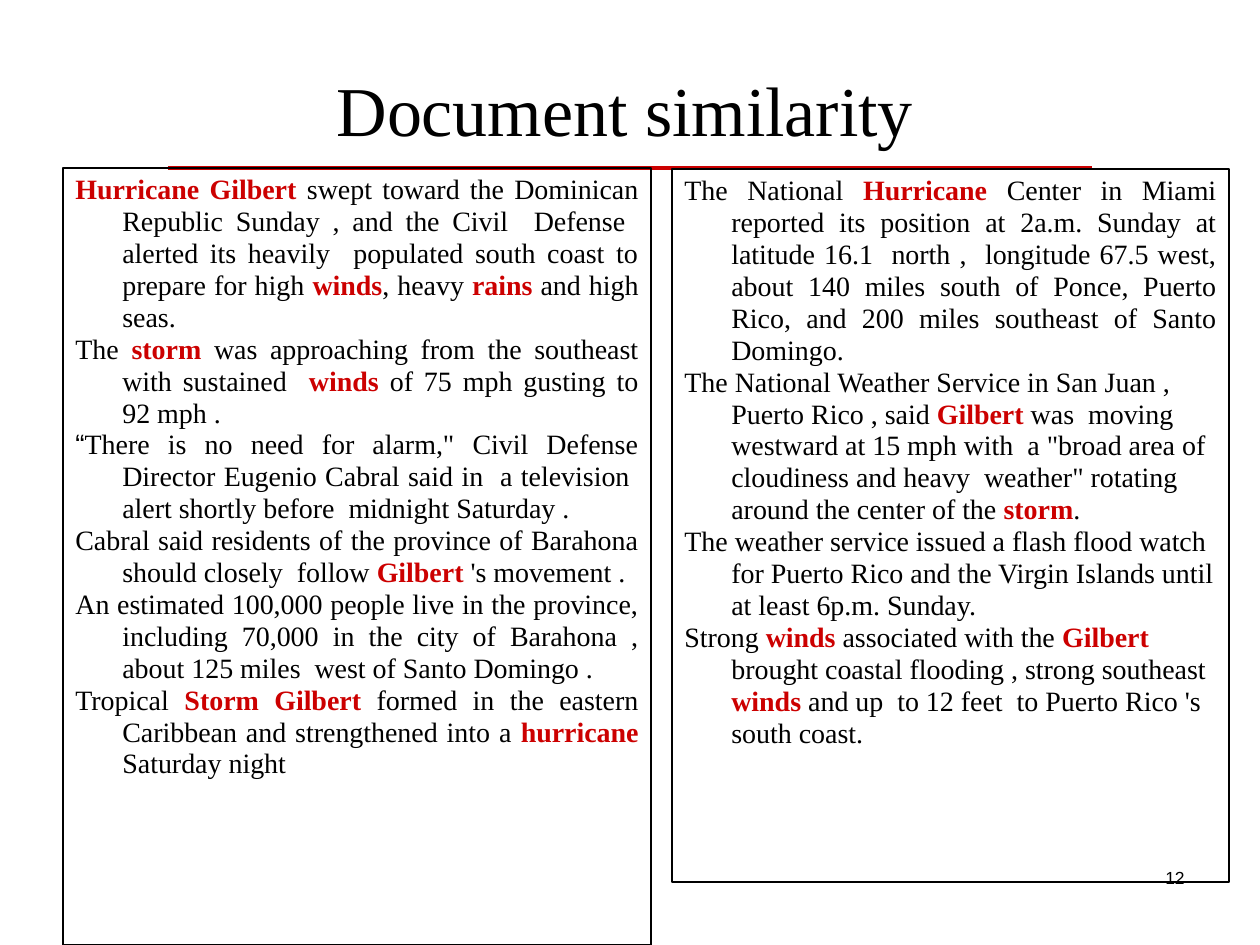
from lxml import etree
from pptx import Presentation
from pptx.dml.color import RGBColor
from pptx.enum.shapes import MSO_CONNECTOR, MSO_SHAPE
from pptx.enum.text import MSO_ANCHOR, PP_ALIGN
from pptx.oxml.ns import qn
from pptx.util import Emu, Pt

PX = 914400 / 126
BLACK = RGBColor(0x00, 0x00, 0x00)
RED = RGBColor(0xCC, 0x00, 0x00)
SERIF, SANS = "Times New Roman", "Arial"
LEFT, CENTER, RIGHT, JUSTIFY = PP_ALIGN.LEFT, PP_ALIGN.CENTER, PP_ALIGN.RIGHT, PP_ALIGN.JUSTIFY
TOP, BOTTOM = MSO_ANCHOR.TOP, MSO_ANCHOR.BOTTOM

# Words between asterisks are the shared key terms
STORM_REPORT = [
    (JUSTIFY, "*Hurricane Gilbert *swept toward the Dominican Republic Sunday , and the Civil  Defense  "
              "alerted its heavily  populated south coast to prepare for high *winds*, heavy *rains* "
              "and high seas. "),
    (JUSTIFY, "The *storm *was approaching from the southeast with sustained  *winds* of 75 mph "
              "gusting to 92 mph . "),
    (JUSTIFY, "“There is no need for alarm,\" Civil Defense Director Eugenio Cabral said in  "
              "a television  alert shortly before  midnight Saturday . "),
    (JUSTIFY, "Cabral said residents of the province of Barahona should closely  follow "
              "*Gilbert* 's movement . "),
    (JUSTIFY, "An estimated 100,000 people live in the province, including 70,000 in the city of "
              "Barahona , about 125 miles  west of Santo Domingo . "),
    (JUSTIFY, "Tropical *Storm Gilbert* formed in the eastern Caribbean and strengthened into a "
              "*hurricane *Saturday night "),
]
WEATHER_REPORT = [
    (JUSTIFY, "The National *Hurricane* Center in Miami reported its position at 2a.m. Sunday at "
              "latitude 16.1  north ,  longitude 67.5 west, about 140 miles south of Ponce, Puerto "
              "Rico, and 200 miles southeast of Santo Domingo. "),
    (LEFT, "The National Weather Service in San Juan , Puerto Rico , said *Gilbert* was  moving "
           "westward at 15 mph with  a \"broad area of cloudiness and heavy  weather\" rotating "
           "around the center of the *storm*."),
    (LEFT, "The weather service issued a flash flood watch for Puerto Rico and the Virgin Islands "
           "until at least 6p.m. Sunday."),
    (LEFT, "Strong *winds* associated with the *Gilbert* brought coastal flooding , strong southeast "
           "*winds* and up  to 12 feet  to Puerto Rico 's south coast."),
]


def px(length):
    return Emu(round(length * PX))


class SlideWriter:
    indent = 47
    line_spacing = 0.95
    body_size = 16

    def __init__(self, page):
        self.page = page

    def span(self, para, text, size, font=SERIF, color=BLACK, bold=False):
        run = para.add_run()
        run.text = text
        run.font.size = Pt(size)
        run.font.name = font
        run.font.bold = bold
        run.font.color.rgb = color

    def frame(self, shape, anchor=TOP):
        frame = shape.text_frame
        frame.word_wrap = True
        frame.vertical_anchor = anchor
        return frame

    def title(self, text, left, top, width, height):
        box = self.page.shapes.title
        box.left, box.top, box.width, box.height = map(px, (left, top, width, height))
        para = self.frame(box, BOTTOM).paragraphs[0]
        para.alignment = CENTER
        self.span(para, text, 40)

    def rule(self, x1, y1, x2, y2):
        line = self.page.shapes.add_connector(MSO_CONNECTOR.STRAIGHT, *map(px, (x1, y1, x2, y2)))
        line.line.color.rgb = RED
        line.line.width = Pt(2.5)
        etree.SubElement(line._element.spPr, qn("a:effectLst"))

    def number(self, text, left, top, width, height):
        box = self.page.shapes.add_textbox(*map(px, (left, top, width, height)))
        para = self.frame(box).paragraphs[0]
        para.alignment = RIGHT
        self.span(para, text, 10, SANS)

    def document(self, paragraphs, left, top, width, height):
        box = self.page.shapes.add_shape(MSO_SHAPE.RECTANGLE, *map(px, (left, top, width, height)))
        box.shadow.inherit = False
        box.fill.background()
        box.line.color.rgb = BLACK
        box.line.width = Pt(0.75)
        frame = self.frame(box)
        for index, (alignment, text) in enumerate(paragraphs):
            para = frame.add_paragraph() if index else frame.paragraphs[0]
            para.alignment = alignment
            para.line_spacing = self.line_spacing
            hanging = para._p.get_or_add_pPr()
            hanging.set("marL", str(px(self.indent)))
            hanging.set("indent", str(px(-self.indent)))
            self.marked_text(para, text)

    def marked_text(self, para, text):
        if text.startswith("“"):
            self.span(para, "“", self.body_size, SANS)
            text = text[1:]
        for index, part in enumerate(text.split("*")):
            key = index % 2 == 1
            if part:
                self.span(para, part, self.body_size, color=RED if key else BLACK, bold=key)


def main():
    deck = Presentation()
    deck.slide_width, deck.slide_height = px(1260), px(945)
    writer = SlideWriter(deck.slides.add_slide(deck.slide_layouts[5]))

    # Heading and page number
    writer.rule(168, 168, 1092, 168)
    writer.number("12", 903, 861, 294, 63)
    writer.title("Document similarity", 105, 16, 1040, 141)

    # The two compared documents
    writer.document(STORM_REPORT, 63, 168, 588, 777)
    writer.document(WEATHER_REPORT, 672, 169, 557, 713)

    deck.save("out.pptx")


if __name__ == "__main__":
    main()
